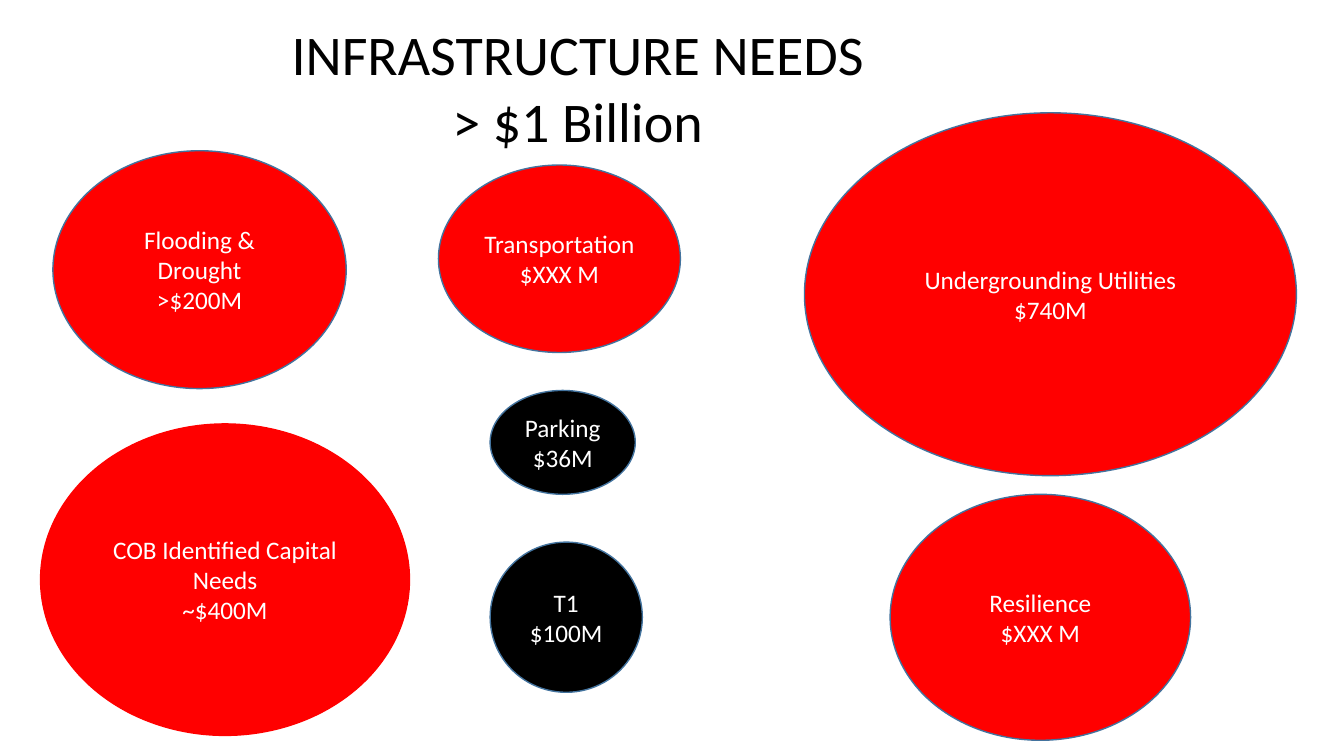
"""Build the infrastructure needs slide with one ellipse per funding need."""
from pptx import Presentation
from pptx.dml.color import RGBColor
from pptx.enum.shapes import MSO_SHAPE
from pptx.enum.text import MSO_ANCHOR, MSO_AUTO_SIZE, PP_ALIGN
from pptx.util import Pt

COLORS = {"red": "FF0000", "black": "000000", "white": "FFFFFF", "outline": "43739E"}


def write_lines(frame, lines, size, color):
    """Write centred paragraphs into a text frame."""
    frame.word_wrap = True
    for index, line in enumerate(lines):
        para = frame.paragraphs[0] if index == 0 else frame.add_paragraph()
        para.alignment = PP_ALIGN.CENTER
        span = para.add_run()
        span.text = line
        span.font.name = "Calibri"
        span.font.size = Pt(size)
        span.font.color.rgb = RGBColor.from_string(COLORS[color])


deck = Presentation()
deck.slide_width, deck.slide_height = Pt(960), Pt(540)
page = deck.slides.add_slide(deck.slide_layouts[5])

title = page.shapes.title
title.left, title.top, title.width, title.height = Pt(143.7), Pt(10.4), Pt(537.8), Pt(104.4)
title.text_frame.auto_size = MSO_AUTO_SIZE.NONE
title.text_frame.vertical_anchor = MSO_ANCHOR.TOP
write_lines(title.text_frame, ["INFRASTRUCTURE NEEDS", "> $1 Billion"], 40, "black")

needs = [
    (["T1", "$100M"], 350.1, 387.2, 108.7, 107.3, "black", "outline"),
    (["COB Identified Capital Needs", "~$400M"], 29, 302.8, 263.5, 222.5, "red", "red"),
    (["Undergrounding Utilities", "$740M"], 574.6, 80.6, 351.4, 259.2, "red", "outline"),
    (["Flooding & Drought", ">$200M"], 37.8, 107.7, 209.5, 169.9, "red", "outline"),
    (["Resilience", "$XXX M"], 635.8, 353.1, 214.6, 175.7, "red", "outline"),
    (["Transportation", "$XXX M"], 313.2, 117.9, 172.8, 133.9, "red", "outline"),
    (["Parking $36M"], 350.1, 278.9, 103.7, 74.2, "black", "outline"),
]
for lines, left, top, width, height, fill, outline in needs:
    ellipse = page.shapes.add_shape(MSO_SHAPE.OVAL, Pt(left), Pt(top), Pt(width), Pt(height))
    ellipse.shadow.inherit = False
    ellipse.fill.solid()
    ellipse.fill.fore_color.rgb = RGBColor.from_string(COLORS[fill])
    ellipse.line.color.rgb = RGBColor.from_string(COLORS[outline])
    ellipse.line.width = Pt(1)
    ellipse.text_frame.vertical_anchor = MSO_ANCHOR.MIDDLE
    write_lines(ellipse.text_frame, lines, 18, "white")

deck.save("out.pptx")
